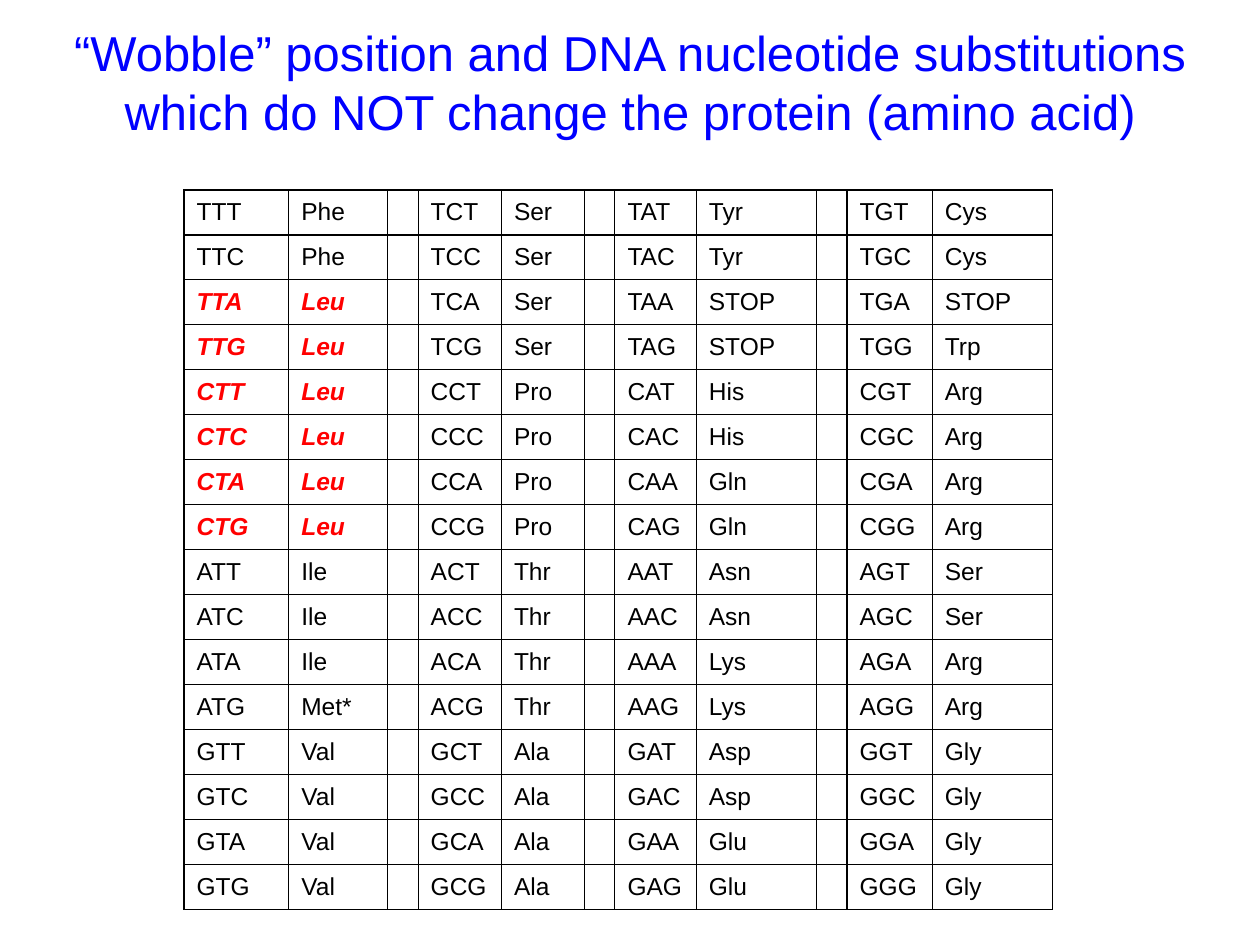
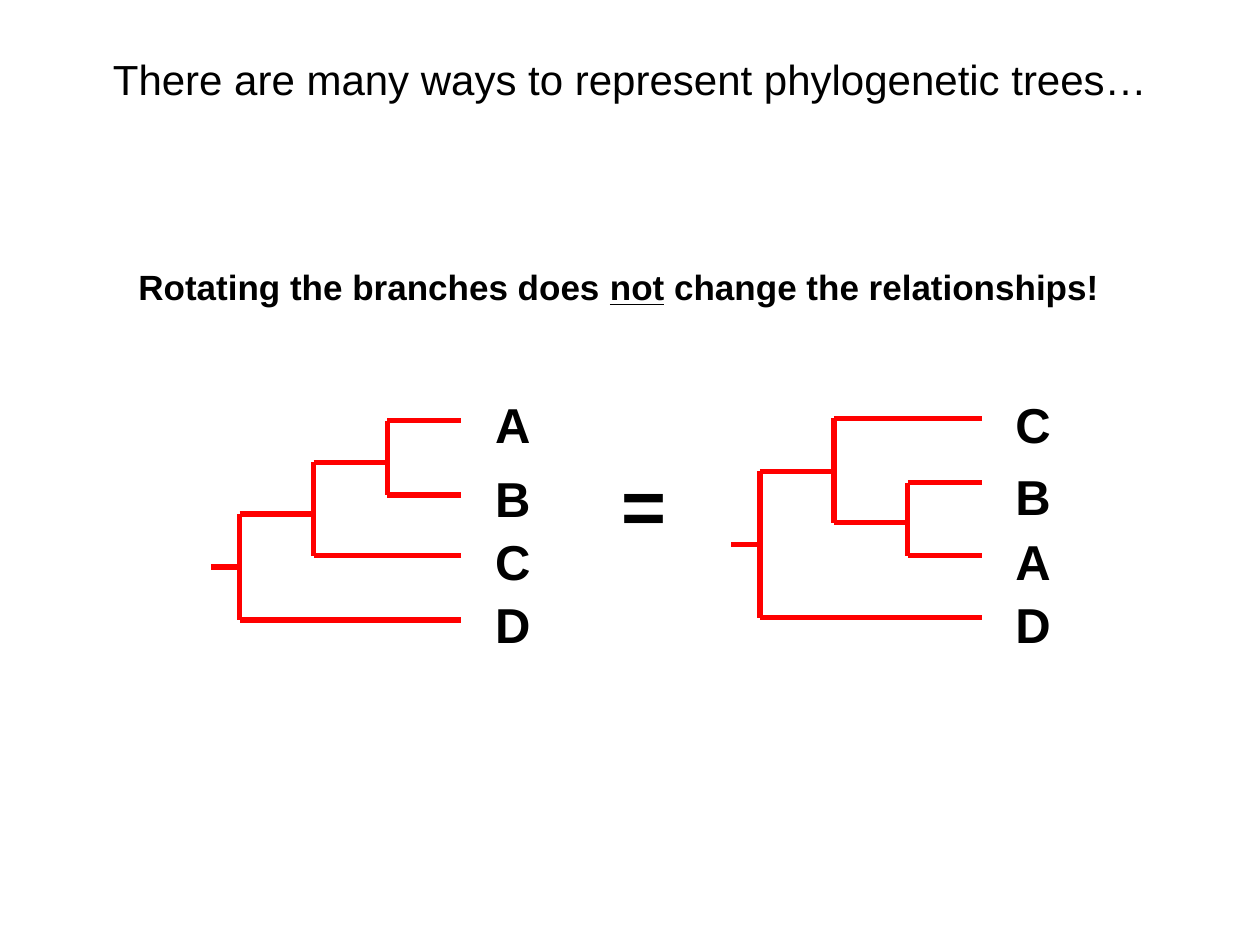
from collections import namedtuple
from dataclasses import dataclass

from lxml.etree import SubElement
from pptx import Presentation
from pptx.dml.color import RGBColor
from pptx.enum.shapes import MSO_CONNECTOR
from pptx.enum.text import MSO_ANCHOR, MSO_AUTO_SIZE, PP_ALIGN
from pptx.oxml.ns import qn
from pptx.util import Cm, Pt


@dataclass(frozen=True)
class Theme:
    font: str = "Arial"
    ink: str = "000000"
    blue: str = "0000FF"
    red: str = "FF0000"
    heading: int = 28
    subheading: int = 24
    statement: int = 20
    cell: int = 14
    label: int = 28
    sign: int = 44
    branch: float = 3
    border: float = 0.75


# A clade joins two lineages at height y; a tip ends in a named label
Clade = namedtuple("Clade", "y upper lower")
Tip = namedtuple("Tip", "y name label_top")


def add_span(para, text, *, font, size, color, bold=False, italic=False, underline=False):
    span = para.add_run()
    span.text = text
    span.font.name = font
    span.font.size = Pt(size)
    span.font.color.rgb = RGBColor.from_string(color)
    span.font.bold = bold
    span.font.italic = italic
    span.font.underline = underline


class Pages:
    STEP = 1.49  # horizontal distance between tree levels, cm
    LEVELS = 3

    def __init__(self, theme):
        self.theme = theme
        self.deck = Presentation()
        self.deck.slide_width, self.deck.slide_height = Cm(25.4), Cm(19.05)
        self.page = None

    def new_page(self):
        self.page = self.deck.slides.add_slide(self.deck.slide_layouts[5])

    def span(self, para, text, size, color=None, **style):
        add_span(para, text, font=self.theme.font, size=size,
                 color=color or self.theme.ink, **style)

    def title(self, text, bounds, size, color, anchor):
        box = self.page.shapes.title
        box.left, box.top, box.width, box.height = map(Cm, bounds)
        frame = box.text_frame
        frame.auto_size = MSO_AUTO_SIZE.NONE
        frame.word_wrap = True
        frame.vertical_anchor = anchor
        para = frame.paragraphs[0]
        para.alignment = PP_ALIGN.CENTER
        para.space_before = Pt(0)
        self.span(para, text, size, color)

    def text(self, spans, bounds, size, shapes=None):
        box = (shapes or self.page.shapes).add_textbox(*map(Cm, bounds))
        frame = box.text_frame
        frame.word_wrap = True
        frame.margin_right = 0
        for text, style in spans:
            self.span(frame.paragraphs[0], text, size, bold=True, **style)

    # Table
    def table(self, rows, left, top, widths, height, is_marked):
        frame = self.page.shapes.add_table(
            len(rows), len(widths), Cm(left), Cm(top), Cm(sum(widths)), Cm(height))
        table = frame.table
        table.first_row = table.horz_banding = False
        for column, width in zip(table.columns, widths):
            column.width = Cm(width)
        for row, texts in zip(table.rows, rows):
            row.height = Cm(height) // len(rows)
            for number, (cell, text) in enumerate(zip(row.cells, texts)):
                cell.fill.background()
                cell.vertical_anchor = MSO_ANCHOR.MIDDLE
                cell.margin_top = cell.margin_bottom = 0
                self.borders(cell)
                if text:
                    marked = is_marked(texts, number)
                    color = self.theme.red if marked else self.theme.ink
                    self.span(cell.text_frame.paragraphs[0], text, self.theme.cell,
                              color, bold=marked, italic=marked)

    def borders(self, cell):
        properties = cell._tc.get_or_add_tcPr()
        for place, side in enumerate(("a:lnL", "a:lnR", "a:lnT", "a:lnB")):
            line = SubElement(properties, qn(side), w=str(Pt(self.theme.border)))
            fill = SubElement(line, qn("a:solidFill"))
            SubElement(fill, qn("a:srgbClr"), val=self.theme.ink)
            properties.insert(place, line)

    # Tree
    def line(self, shapes, x1, y1, x2, y2):
        line = shapes.add_connector(MSO_CONNECTOR.STRAIGHT, *map(Cm, (x1, y1, x2, y2)))
        line.line.color.rgb = RGBColor.from_string(self.theme.red)
        line.line.width = Pt(self.theme.branch)
        SubElement(line._element.spPr, qn("a:effectLst"))

    def tree(self, root, left):
        shapes = self.page.shapes.add_group_shape().shapes
        self.line(shapes, left - 0.58, root.y, left, root.y)
        self.clade(shapes, root, left, 0)

    def clade(self, shapes, clade, left, level):
        x = left + level * self.STEP
        self.line(shapes, x, clade.upper.y, x, clade.lower.y)
        for child in (clade.upper, clade.lower):
            is_tip = isinstance(child, Tip)
            end = left + (self.LEVELS if is_tip else level + 1) * self.STEP
            self.line(shapes, x, child.y, end, child.y)
            if is_tip:
                self.text([(child.name, {})], (left + 4.9, child.label_top, 0.9, 1.02),
                          self.theme.label, shapes)
            else:
                self.clade(shapes, child, left, level + 1)


BASES = "TCAG"
# Amino acids in codon order, one line per second base
AMINO_ACIDS = [line.split() for line in (
    "Phe Phe Leu Leu Leu Leu Leu Leu Ile Ile Ile Met* Val Val Val Val",
    "Ser Ser Ser Ser Pro Pro Pro Pro Thr Thr Thr Thr Ala Ala Ala Ala",
    "Tyr Tyr STOP STOP His His Gln Gln Asn Asn Lys Lys Asp Asp Glu Glu",
    "Cys Cys STOP Trp Arg Arg Arg Arg Ser Ser Arg Arg Gly Gly Gly Gly",
)]


def codon_rows():
    rows = []
    for number in range(16):
        row = []
        for second, acids in zip(BASES, AMINO_ACIDS):
            codon = BASES[number // 4] + second + BASES[number % 4]
            row += [codon, acids[number], ""]
        rows.append(row[:-1])
    return rows


def codon_page(pages):
    theme = pages.theme
    pages.new_page()
    pages.title("“Wobble” position and DNA nucleotide substitutions "
                "which do NOT change the protein (amino acid)",
                (0.3, 0.33, 24.8, 4.1), theme.heading, theme.blue, MSO_ANCHOR.TOP)
    widths = (2.11, 2, 0.6, 1.68, 1.68, 0.6, 1.64, 2.43, 0.6, 1.72, 2.43)
    pages.table(codon_rows(), 3.71, 3.83, widths, 14.5,
                lambda texts, column: column < 2 and texts[1] == "Leu")


def tree_page(pages):
    theme = pages.theme
    pages.new_page()
    pages.title("There are many ways to represent phylogenetic trees…",
                (1.27, 0, 22.86, 3.18), theme.subheading, theme.ink, MSO_ANCHOR.MIDDLE)
    pages.text([("Rotating the branches does ", {}), ("not", {"underline": True}),
                (" change the relationships!", {})],
               (2.54, 5.23, 21.03, 1.12), theme.statement)

    # The same tree before and after rotating its branches
    pair = Clade(9.32, Tip(8.48, "A", 7.82), Tip(9.98, "B", 9.32))
    trio = Clade(10.36, pair, Tip(11.2, "C", 10.59))
    pages.tree(Clade(11.43, trio, Tip(12.5, "D", 11.86)), 4.83)

    pair = Clade(10.54, Tip(9.73, "B", 9.27), Tip(11.2, "A", 10.59))
    trio = Clade(9.5, Tip(8.43, "C", 7.82), pair)
    pages.tree(Clade(10.97, trio, Tip(12.45, "D", 11.86)), 15.32)

    pages.text([("=", {})], (12.27, 9.09, 1.3, 2.13), theme.sign)


def main():
    pages = Pages(Theme())
    codon_page(pages)
    tree_page(pages)
    pages.deck.save("out.pptx")


if __name__ == "__main__":
    main()
